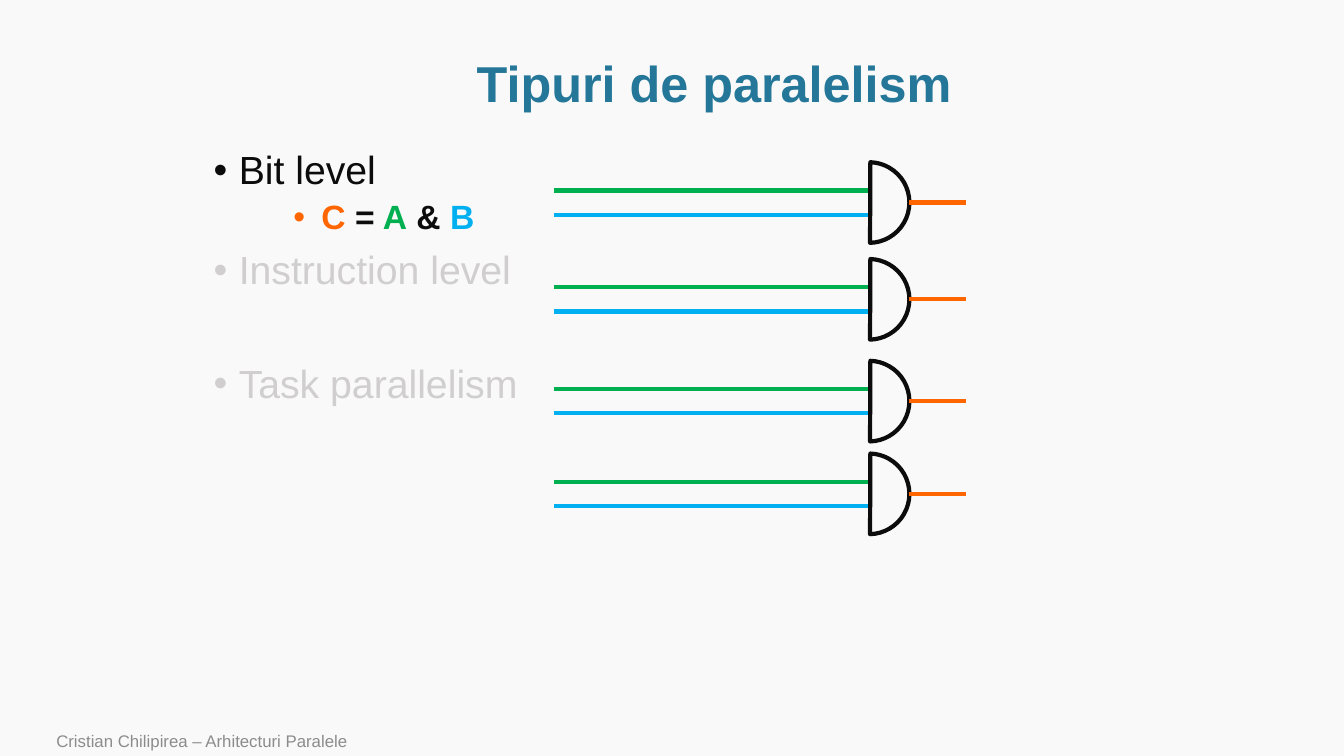
from lxml import etree
from pptx import Presentation
from pptx.dml.color import RGBColor
from pptx.enum.shapes import MSO_CONNECTOR, MSO_SHAPE
from pptx.enum.text import MSO_ANCHOR, PP_ALIGN
from pptx.oxml.ns import qn
from pptx.util import Inches, Pt

CHORD = MSO_SHAPE.CHORD
STRAIGHT = MSO_CONNECTOR.STRAIGHT
TOP, MIDDLE, BOTTOM = MSO_ANCHOR.TOP, MSO_ANCHOR.MIDDLE, MSO_ANCHOR.BOTTOM
LEFT, CENTER = PP_ALIGN.LEFT, PP_ALIGN.CENTER

COLORS = {
    "background": "F9F9F9",
    "title": "247798",
    "ink": "0C0C0C",
    "faded": "D0CECE",
    "footer": "8C8C8C",
    "a": "00B050",
    "b": "00B0F0",
    "c": "FF6600",
}
FONT = "Arial"

TITLE = "Tipuri de paralelism"
FOOTER = "Cristian Chilipirea – Arhitecturi Paralele"
LEVELS = [
    {"size": 28, "bold": False, "margin": 0.25, "hang": 0.25},
    {"size": 24, "bold": True, "margin": 1.07, "hang": 0.28},
]
BULLETS = [
    (0, 0, [("Bit level", "ink")]),
    (1, 5, [("C ", "c"), ("=", "ink"), (" A", "a"), (" & ", "ink"), ("B", "b")]),
    (0, 10, [("Instruction level", "faded")]),
    (0, 51, [("Task parallelism", "faded")]),
]

GATE_CENTERS = [2.01, 2.97, 3.98, 4.9]
GATE_SIZE = 0.8
GATE_LEFT = 8.22
GATE_ARC = (163.11, 53.15)
GATE_MIDDLE = GATE_LEFT + GATE_SIZE / 2
GATE_RIGHT = GATE_LEFT + GATE_SIZE
WIRES = [
    ("b", 5.49, GATE_MIDDLE, 0.12),
    ("a", 5.49, GATE_MIDDLE, -0.12),
]
OUTPUT_WIRE = ("c", GATE_RIGHT, 9.58, 0)
STROKE = Pt(3)


def rgb(name):
    return RGBColor.from_string(COLORS[name])


def add_text_frame(slide, left, top, width, height, anchor):
    box = slide.shapes.add_textbox(Inches(left), Inches(top), Inches(width), Inches(height))
    frame = box.text_frame
    frame.word_wrap = True
    frame.vertical_anchor = anchor
    return frame


def style_run(run, size, color, bold=False):
    run.font.name = FONT
    run.font.size = Pt(size)
    run.font.bold = bold
    run.font.color.rgb = rgb(color)


def add_label(slide, text, bounds, anchor, align, size, color, bold=False):
    frame = add_text_frame(slide, *bounds, anchor)
    frame.text = text
    paragraph = frame.paragraphs[0]
    paragraph.alignment = align
    paragraph.line_spacing = 0.9 if bold else 1.0
    style_run(paragraph.runs[0], size, color, bold)


def add_bullets(slide):
    frame = add_text_frame(slide, 2.02, 1.45, 9.32, 5.57, TOP)
    for index, (depth, space, parts) in enumerate(BULLETS):
        paragraph = frame.paragraphs[0] if index == 0 else frame.add_paragraph()
        level = LEVELS[depth]
        paragraph.line_spacing = 0.9
        paragraph.space_before = Pt(space)
        properties = paragraph._p.get_or_add_pPr()
        properties.set("marL", str(Inches(level["margin"])))
        properties.set("indent", str(-Inches(level["hang"])))
        etree.SubElement(properties, qn("a:buFont")).set("typeface", FONT)
        etree.SubElement(properties, qn("a:buChar")).set("char", "•")
        for text, color in parts:
            run = paragraph.add_run()
            run.text = text
            style_run(run, level["size"], color, level["bold"])


def add_wire(slide, center, color, start, end, offset):
    y = Inches(center + offset)
    wire = slide.shapes.add_connector(STRAIGHT, Inches(start), y, Inches(end), y)
    wire.line.color.rgb = rgb(color)
    wire.line.width = STROKE
    etree.SubElement(wire._element.spPr, qn("a:effectLst"))


def add_gate(slide, center):
    for wire in WIRES:
        add_wire(slide, center, *wire)
    gate = slide.shapes.add_shape(
        CHORD, Inches(GATE_LEFT), Inches(center - GATE_SIZE / 2),
        Inches(GATE_SIZE), Inches(GATE_SIZE))
    gate.adjustments[0], gate.adjustments[1] = GATE_ARC
    gate.shadow.inherit = False
    gate.fill.background()
    gate.line.color.rgb = rgb("ink")
    gate.line.width = STROKE
    add_wire(slide, center, *OUTPUT_WIRE)


def main():
    deck = Presentation()
    deck.slide_width, deck.slide_height = Inches(13.33), Inches(7.5)
    slide = deck.slides.add_slide(deck.slide_layouts[6])
    slide.background.fill.solid()
    slide.background.fill.fore_color.rgb = rgb("background")

    add_label(slide, TITLE, (1.14, 0.51, 11.89, 0.69), MIDDLE, CENTER, 36, "title", True)
    add_bullets(slide)
    add_label(slide, FOOTER, (0.46, 7.22, 9.82, 0.28), BOTTOM, LEFT, 12, "footer")
    for center in GATE_CENTERS:
        add_gate(slide, center)
    deck.save("out.pptx")


if __name__ == "__main__":
    main()
